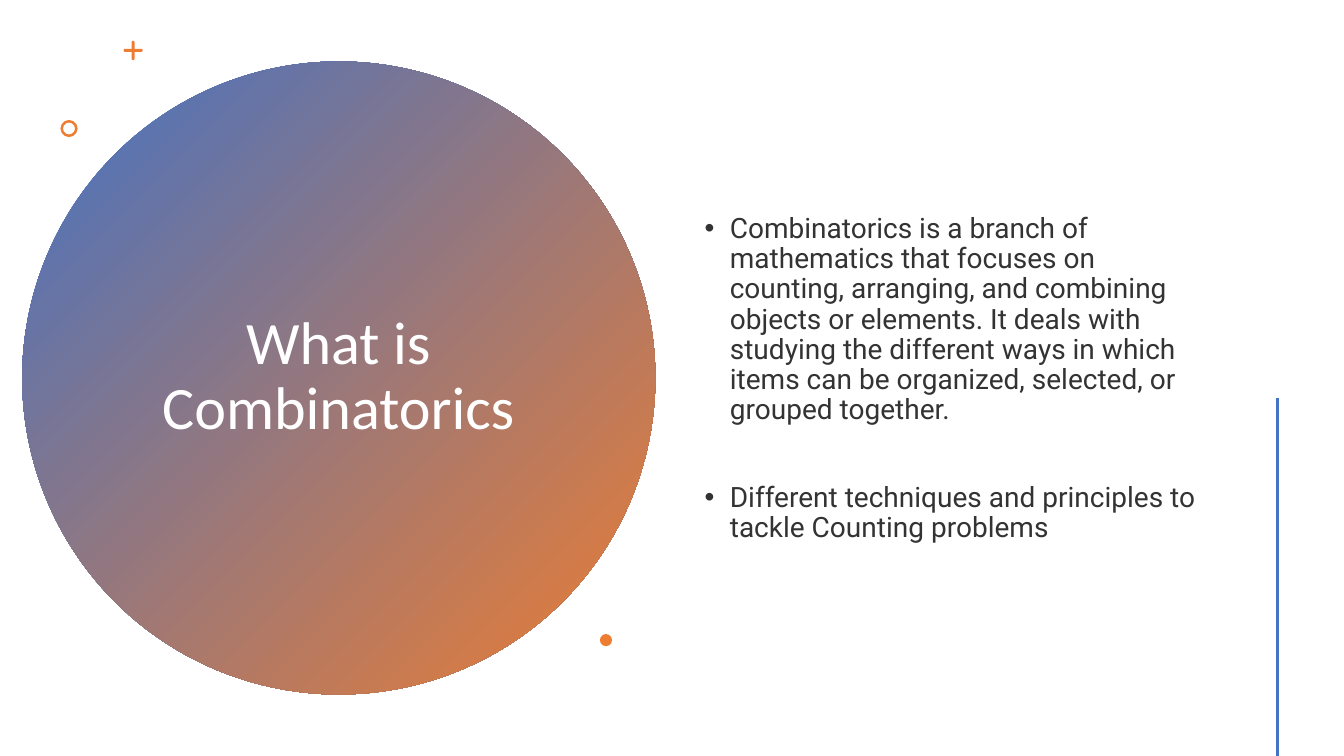
from lxml.etree import SubElement
from pptx import Presentation
from pptx.dml.color import RGBColor
from pptx.enum.shapes import MSO_CONNECTOR, MSO_SHAPE
from pptx.enum.text import MSO_ANCHOR, PP_ALIGN
from pptx.oxml.ns import qn
from pptx.util import Inches, Pt

BLUE, ORANGE, WHITE, TEXT = "4472C4", "ED7D31", "FFFFFF", "333333"


def color(value):
    return RGBColor.from_string(value)


class Page:
    title_font, body_font = "Calibri", "Roboto"
    line_spacing = 0.9

    def __init__(self, deck):
        self.slide = deck.slides.add_slide(deck.slide_layouts[6])

    def shape(self, kind, left, top, width, height, fill, adjustment=None):
        shape = self.slide.shapes.add_shape(
            kind, Inches(left), Inches(top), Inches(width), Inches(height))
        shape.shadow.inherit = False
        shape.line.fill.background()
        if isinstance(fill, tuple):
            shape.fill.gradient()
            shape.fill.gradient_angle = 315
            for stop, value in zip(shape.fill.gradient_stops, fill):
                stop.color.rgb = color(value)
        else:
            shape.fill.solid()
            shape.fill.fore_color.rgb = color(fill)
        if adjustment is not None:
            shape.adjustments[0] = adjustment

    def text(self, left, top, width, height, content, font, size, fill):
        box = self.slide.shapes.add_textbox(
            Inches(left), Inches(top), Inches(width), Inches(height))
        frame = box.text_frame
        frame.word_wrap = True
        frame.vertical_anchor = MSO_ANCHOR.MIDDLE
        frame.text = content
        for para in frame.paragraphs:
            para.line_spacing = self.line_spacing
            for span in para.runs:
                span.font.name = font
                span.font.size = Pt(size)
                span.font.color.rgb = color(fill)
        return frame.paragraphs

    def title(self, left, top, width, height, content):
        for para in self.text(left, top, width, height, content,
                              self.title_font, 43, WHITE):
            para.alignment = PP_ALIGN.CENTER

    def bullets(self, left, top, width, height, items, gap):
        paragraphs = self.text(left, top, width, height, "\n".join(items),
                               self.body_font, 20, TEXT)
        for index, para in enumerate(paragraphs):
            para.space_before = Pt(gap if index else 10)
            properties = para._p.get_or_add_pPr()
            properties.set("marL", str(Inches(0.25)))
            properties.set("indent", str(-Inches(0.25)))
            SubElement(properties, qn("a:buFont")).set("typeface", "Arial")
            SubElement(properties, qn("a:buChar")).set("char", "•")

    def line(self, x1, y1, x2, y2, fill, width):
        line = self.slide.shapes.add_connector(
            MSO_CONNECTOR.STRAIGHT, Inches(x1), Inches(y1), Inches(x2), Inches(y2))
        line.line.color.rgb = color(fill)
        line.line.width = Pt(width)
        SubElement(line._element.spPr, qn("a:effectLst"))


deck = Presentation()
deck.slide_width, deck.slide_height = Inches(13.33), Inches(7.5)
page = Page(deck)

# Title circle
page.shape(MSO_SHAPE.OVAL, 0.22, 0.61, 6.28, 6.28, (BLUE, ORANGE))
page.title(1.36, 1.41, 3.99, 4.67, "What is Combinatorics")

# Plus sign with rounded arms, ring and dot
plus_x, plus_y, arm, thickness = 1.32, 0.5, 0.19, 0.03
for width, height in ((arm, thickness), (thickness, arm)):
    page.shape(MSO_SHAPE.ROUNDED_RECTANGLE, plus_x - width / 2, plus_y - height / 2,
               width, height, ORANGE, 0.5)
page.shape(MSO_SHAPE.DONUT, 0.6, 1.19, 0.17, 0.17, ORANGE, 0.15)
page.shape(MSO_SHAPE.OVAL, 5.95, 6.29, 0.12, 0.12, ORANGE)

# Definition
page.bullets(6.89, 0.57, 5.22, 6.38, [
    "Combinatorics is a branch of mathematics that focuses on counting, "
    "arranging, and combining objects or elements. It deals with studying "
    "the different ways in which items can be organized, selected, or "
    "grouped together.",
    "Different techniques and principles to tackle Counting problems",
], gap=41)

# Accent line at the right edge
page.line(12.67, 3.95, 12.67, 7.5, BLUE, 2)

deck.save("out.pptx")
